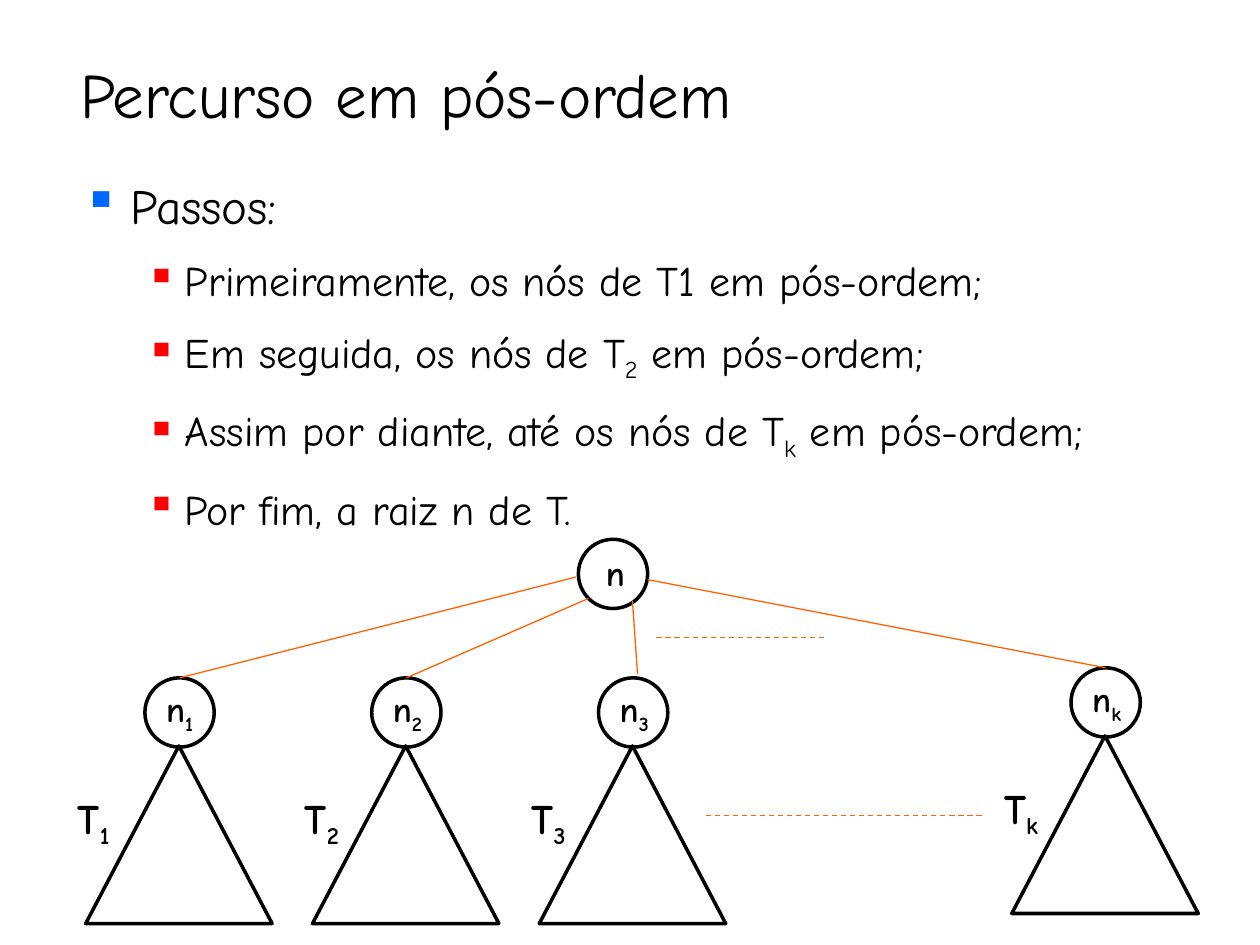
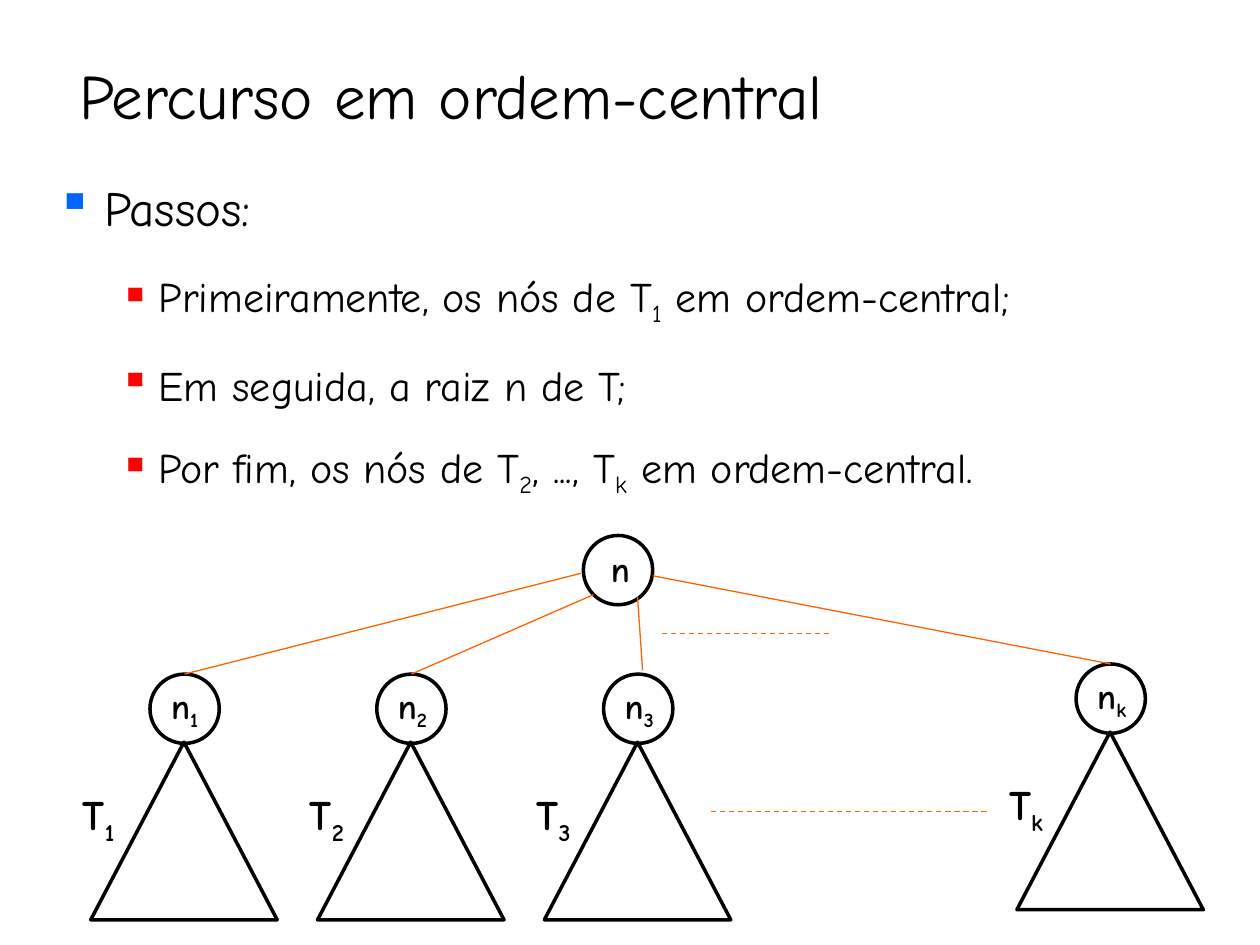
import pptx
import pptx.dml.color
import pptx.enum.dml
import pptx.enum.shapes
import pptx.enum.text
import pptx.oxml
import pptx.oxml.ns
import pptx.util

Inches = pptx.util.Inches
Pt = pptx.util.Pt
RGBColor = pptx.dml.color.RGBColor
MSO_SHAPE = pptx.enum.shapes.MSO_SHAPE

BLACK = RGBColor(0x00, 0x00, 0x00)
BLUE = RGBColor(0x00, 0x66, 0xFF)
RED = RGBColor(0xFF, 0x00, 0x00)
ORANGE = RGBColor(0xFF, 0x62, 0x00)
FONT = "Comic Neue"
NODE_SIZE = 0.55
TRIANGLE_SIZE = (1.48, 1.41)

# Text between bars is subscript.
TRAVERSALS = [
    dict(
        title="Percurso em pós-ordem", title_at=(0.54, 0.42),
        body_at=(0.56, 1.34, 8.81, 2.94), gaps=(6, 6), tree_at=(0, 0),
        steps=[
            "Primeiramente, os nós de T1 em pós-ordem;",
            "Em seguida, os nós de T|2| em pós-ordem;",
            "Assim por diante, até os nós de T|k| em pós-ordem;",
            "Por fim, a raiz n de T.",
        ],
    ),
    dict(
        title="Percurso em ordem-central", title_at=(0.53, 0.43),
        body_at=(0.35, 1.36, 9.65, 2.63), gaps=(10.5, 9), tree_at=(0.04, -0.03),
        steps=[
            "Primeiramente, os nós de T|1| em ordem-central;",
            "Em seguida, a raiz n de T;",
            "Por fim, os nós de T|2|, ..., T|k| em ordem-central.",
        ],
    ),
]

# Index, left of the triangle, top of the node
SUBTREES = [("1", 0.68, 5.38), ("2", 2.48, 5.38), ("3", 4.28, 5.38), ("k", 8.03, 5.3)]

# Start, end, index of the subtree whose node the line ends on, dashed
BRANCHES = [
    ((4.57, 4.58), (1.42, 5.38), "1", False),
    ((4.67, 4.75), (3.22, 5.38), "2", False),
    ((5.02, 4.77), (5.06, 5.35), None, False),
    ((5.14, 4.6), (8.77, 5.3), "k", False),
    ((5.21, 5.06), (6.54, 5.06), None, True),
    ((5.6, 6.47), (7.79, 6.47), None, True),
]


def add_runs(paragraph, text, size, bold=False):
    """Add text run by run, lowering the parts that stand between bars."""
    for number, part in enumerate(text.split("|")):
        if not part:
            continue
        run = paragraph.add_run()
        run.text = part
        run.font.name = FONT
        run.font.size = Pt(size)
        run.font.bold = bold
        run.font.color.rgb = BLACK
        if number % 2:
            run._r.get_or_add_rPr().set("baseline", "-25000")


def add_box(slide, left, top, width, height):
    box = slide.shapes.add_textbox(Inches(left), Inches(top), Inches(width), Inches(height))
    box.text_frame.word_wrap = True
    return box.text_frame


deck = pptx.Presentation()
deck.slide_width = Inches(10)
deck.slide_height = Inches(7.5)

for traversal in TRAVERSALS:
    slide = deck.slides.add_slide(deck.slide_layouts[6])

    heading = add_box(slide, *traversal["title_at"], 8.77, 0.67)
    heading.vertical_anchor = pptx.enum.text.MSO_ANCHOR.BOTTOM
    add_runs(heading.paragraphs[0], traversal["title"], 36)

    body = add_box(slide, *traversal["body_at"])
    first_gap, step_gap = traversal["gaps"]
    for number, line in enumerate(["Passos:"] + traversal["steps"]):
        if number == 0:
            paragraph = body.paragraphs[0]
            size, gap, margin, indent, color = 28, first_gap, 0.38, -0.38, BLUE
        else:
            paragraph = body.add_paragraph()
            paragraph.level = 1
            size, gap, margin, indent, color = 24, step_gap, 0.81, -0.31, RED
        properties = paragraph._p.get_or_add_pPr()
        properties.set("marL", str(Inches(margin)))
        properties.set("indent", str(Inches(indent)))
        namespace = pptx.oxml.ns.nsdecls("a")
        properties.append(pptx.oxml.parse_xml(
            f'<a:buClr {namespace}><a:srgbClr val="{color}"/></a:buClr>'))
        properties.append(pptx.oxml.parse_xml(f'<a:buChar {namespace} char="▪"/>'))
        paragraph.space_before = Pt(gap if number else 0)
        paragraph.space_after = Pt(gap)
        add_runs(paragraph, line, size)

    dx, dy = traversal["tree_at"]
    outlines = [("root", MSO_SHAPE.OVAL, 4.59, 4.28, NODE_SIZE, NODE_SIZE)]
    labels = [("n", 20, 4.71, 4.33, 0.44)]
    for index, left, top in SUBTREES:
        outlines.append(("triangle", MSO_SHAPE.ISOSCELES_TRIANGLE, left, top + 0.54, *TRIANGLE_SIZE))
        outlines.append((index, MSO_SHAPE.OVAL, left + 0.47, top, NODE_SIZE, NODE_SIZE))
        labels.append((f"n|{index}|", 20, left + 0.54, top + 0.03, 0.48))
        labels.append((f"T|{index}|", 24, left - 0.16, top + 0.86, 0.56))

    nodes = {}
    for role, preset, left, top, width, height in outlines:
        outline = slide.shapes.add_shape(
            preset, Inches(left + dx), Inches(top + dy), Inches(width), Inches(height))
        outline.shadow.inherit = False
        outline.fill.background()
        outline.line.color.rgb = BLACK
        outline.line.width = Pt(2)
        nodes[role] = outline

    for text, size, left, top, height in labels:
        label = add_box(slide, left + dx, top + dy, 0.62, height)
        label.auto_size = pptx.enum.text.MSO_AUTO_SIZE.SHAPE_TO_FIT_TEXT
        add_runs(label.paragraphs[0], text, size, bold=True)

    for (x1, y1), (x2, y2), child, dashed in BRANCHES:
        branch = slide.shapes.add_connector(
            pptx.enum.shapes.MSO_CONNECTOR.STRAIGHT,
            Inches(x1 + dx), Inches(y1 + dy), Inches(x2 + dx), Inches(y2 + dy))
        branch.line.color.rgb = ORANGE
        branch.line.width = Pt(0.75)
        if dashed:
            branch.line.dash_style = pptx.enum.dml.MSO_LINE.DASH
        branch._element.spPr.append(pptx.oxml.parse_xml(
            f'<a:effectLst {pptx.oxml.ns.nsdecls("a")}/>'))
        if child:
            branch.end_connect(nodes[child], 0)

deck.save("out.pptx")
